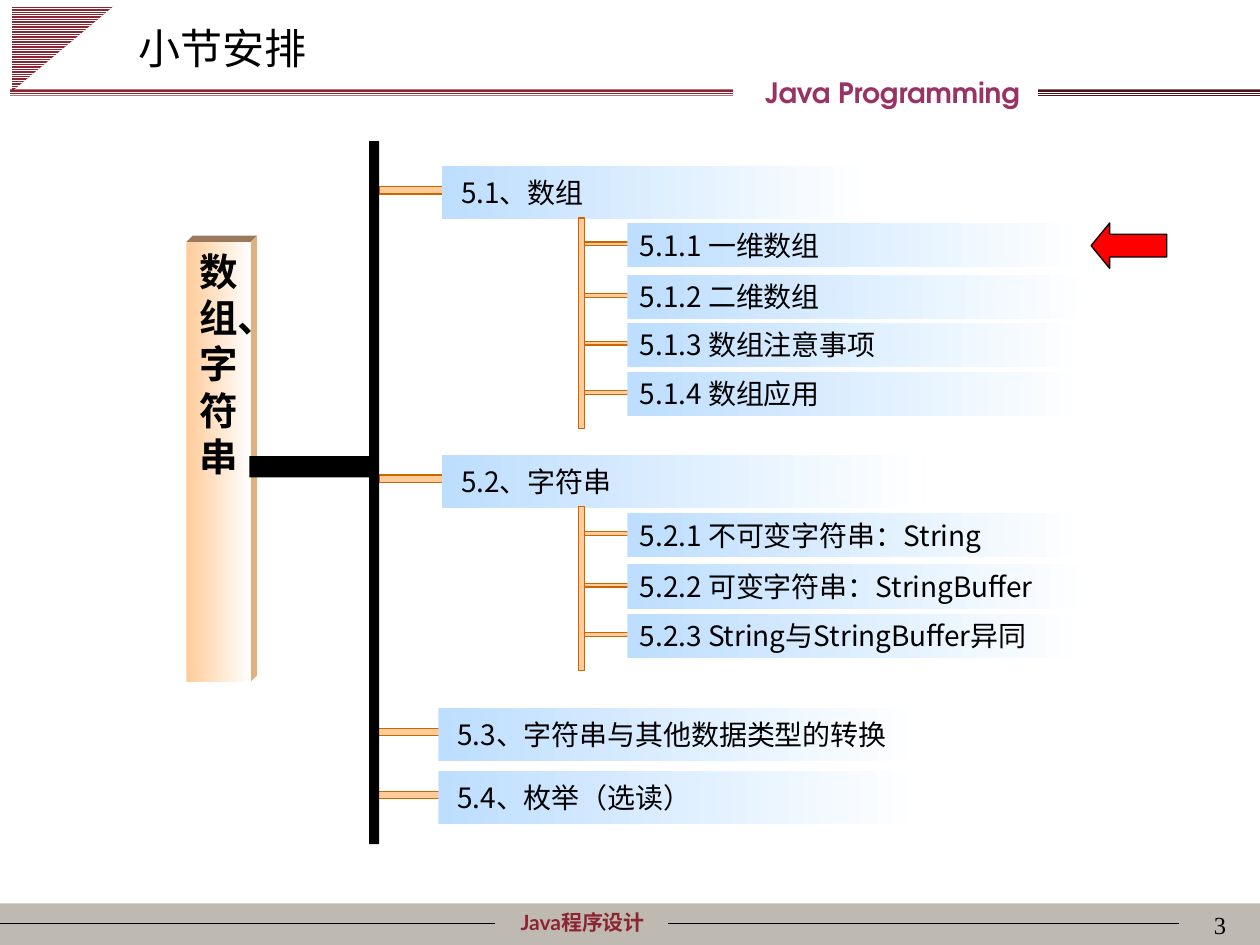
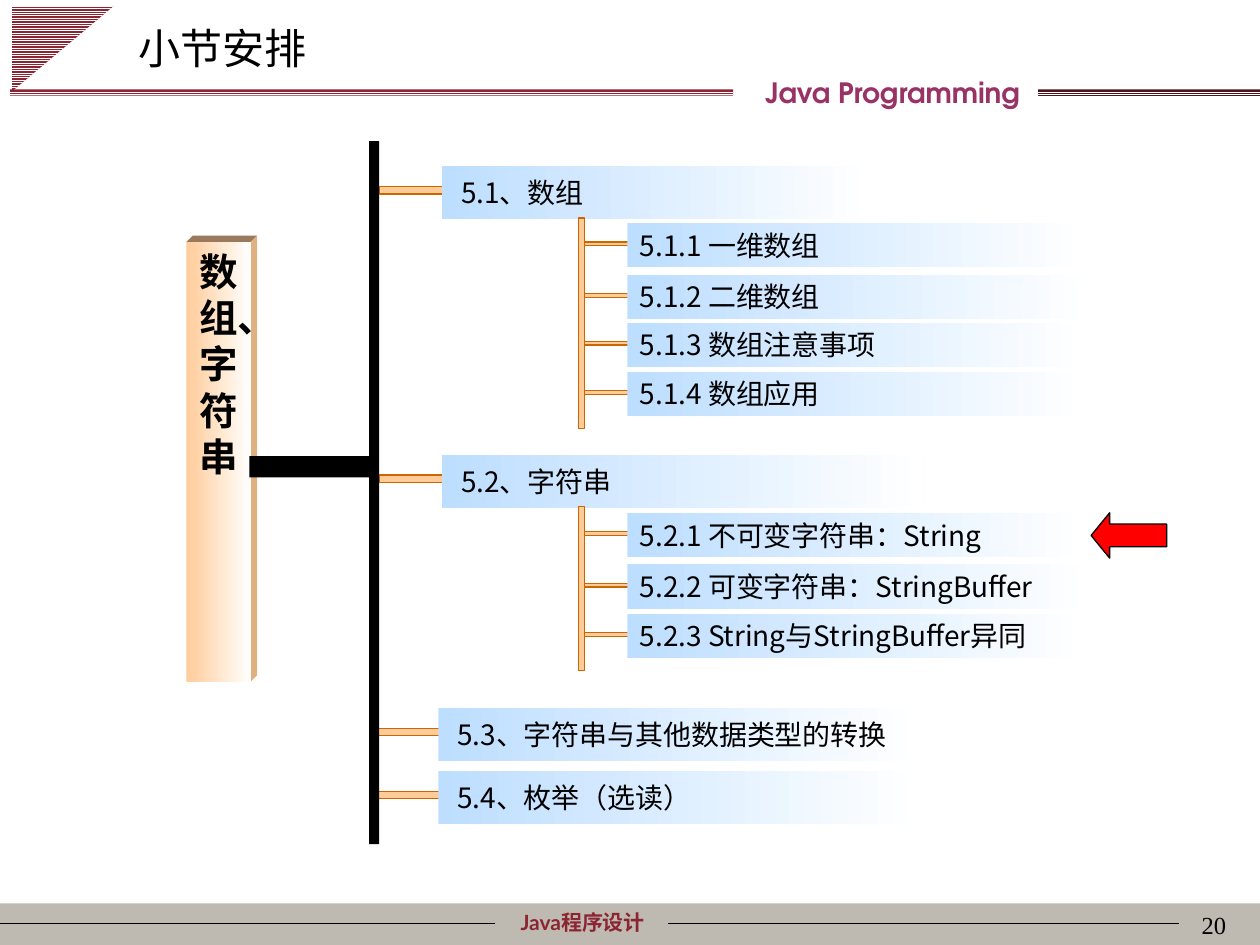
from dataclasses import dataclass
from typing import Optional

from lxml import etree
from pptx import Presentation, util as u
from pptx.dml.color import RGBColor
from pptx.enum import dml, shapes, text
from pptx.oxml.ns import qn

COLUMNS, ROWS = 100, 75
WIDTH, HEIGHT = u.Inches(10), u.Inches(7.5)

BLACK, WHITE, RED = "000000", "FFFFFF", "FF0000"
WINE, DARK_WINE, PLUM = "8C2532", "4C141B", "993366"
STONE, SKY = "BFBAB1", "BDDEFF"
PEACH, RUST, BROWN, TAN = "FFCC99", "CC6600", "997A5C", "E0B080"
CJK = "Noto Sans CJK SC"
RECTANGLE = shapes.MSO_SHAPE.RECTANGLE
LEFT, CENTER, RIGHT = text.PP_ALIGN.LEFT, text.PP_ALIGN.CENTER, text.PP_ALIGN.RIGHT
TOP, MIDDLE = text.MSO_ANCHOR.TOP, text.MSO_ANCHOR.MIDDLE


@dataclass(frozen=True)
class Box:
    left: float
    top: float
    width: float
    height: float

    def emu(self) -> tuple[int, int, int, int]:
        return (across(self.left), down(self.top), across(self.width), down(self.height))


@dataclass(frozen=True)
class Style:
    size: float
    color: str = BLACK
    font: str = CJK
    bold: bool = False
    align: text.PP_ALIGN = LEFT
    anchor: text.MSO_ANCHOR = MIDDLE
    indent: float = 1


@dataclass(frozen=True)
class Paint:
    color: str
    fade_to: Optional[str] = None
    stripe: Optional[str] = None
    outline: Optional[str] = None


@dataclass(frozen=True)
class Topic:
    label: str
    top: float
    width: float = 36.5


@dataclass(frozen=True)
class Section:
    label: str
    left: float
    top: float
    width: float
    topics: tuple[Topic, ...] = ()


TITLE = Style(24)
BRANDING = Style(16, PLUM, "TeX Gyre Adventor", True, CENTER)
FOOTER = Style(12, WINE, "Lato", True, CENTER)
PAGE_NUMBER = Style(14, font="Times New Roman", align=RIGHT, anchor=TOP)
CHAPTER = Style(22, bold=True, align=CENTER, anchor=TOP)
SECTION = Style(16, indent=1.5)
TOPIC = Style(16)

BAR = Paint(SKY, fade_to=WHITE)
TWIG = Paint(PEACH, outline=RUST)
TRUNK = Paint(BLACK)

SECTIONS = (
    Section("5.1、数组", 35.1, 13.2, 34.1, (
        Topic("5.1.1 一维数组", 17.7),
        Topic("5.1.2 二维数组", 21.8, 36.9),
        Topic("5.1.3 数组注意事项", 25.6),
        Topic("5.1.4 数组应用", 29.5),
    )),
    Section("5.2、字符串", 35.1, 36.1, 38.3, (
        Topic("5.2.1 不可变字符串：String", 40.7),
        Topic("5.2.2 可变字符串：StringBuffer", 44.8, 36.9),
        Topic("5.2.3 String与StringBuffer异同", 48.7),
    )),
    Section("5.3、字符串与其他数据类型的转换", 34.8, 56.2, 38.3),
    Section("5.4、枚举（选读）", 34.8, 61.2, 38.3),
)


def across(columns: float) -> int:
    return round(WIDTH * columns / COLUMNS)


def down(rows: float) -> int:
    return round(HEIGHT * rows / ROWS)


def rgb(color: str) -> RGBColor:
    return RGBColor.from_string(color)


def assign(target, values: dict) -> None:
    for name, value in values.items():
        setattr(target, name, value)


def write(shape, label: str, style: Style) -> None:
    frame = shape.text_frame
    assign(frame, {
        "word_wrap": True, "vertical_anchor": style.anchor,
        "margin_left": across(style.indent), "margin_right": across(1),
        "margin_top": down(0.5), "margin_bottom": down(0.5),
    })
    paragraph = frame.paragraphs[0]
    paragraph.alignment = style.align
    run = paragraph.add_run()
    run.text = label
    run.font.color.rgb = rgb(style.color)
    assign(run.font, {"name": style.font, "size": u.Pt(style.size), "bold": style.bold})
    etree.SubElement(run.font._element, qn("a:ea"), typeface=CJK)


def coat(shape, paint: Paint) -> None:
    shape.shadow.inherit = False
    fill = shape.fill
    if paint.fade_to:
        fill.gradient()
        fill.gradient_angle = 0
        for stop, color in zip(fill.gradient_stops, (paint.color, paint.fade_to)):
            stop.color.rgb = rgb(color)
    elif paint.stripe:
        fill.patterned()
        fill.pattern = dml.MSO_PATTERN.LIGHT_HORIZONTAL
        fill.fore_color.rgb = rgb(paint.stripe)
        fill.back_color.rgb = rgb(paint.color)
    else:
        fill.solid()
        fill.fore_color.rgb = rgb(paint.color)
    if paint.outline:
        shape.line.color.rgb = rgb(paint.outline)
        shape.line.width = u.Pt(0.75)
    else:
        shape.line.fill.background()


def draw(slide, box: Box, paint: Paint, kind=RECTANGLE):
    shape = slide.shapes.add_shape(kind, *box.emu())
    coat(shape, paint)
    return shape


def caption(slide, box: Box, label: str, style: Style) -> None:
    write(slide.shapes.add_textbox(*box.emu()), label, style)


def facet(slide, points: list[tuple[float, float]], color: str) -> None:
    corners = [(across(x), down(y)) for x, y in points]
    builder = slide.shapes.build_freeform(*corners[0])
    builder.add_line_segments(corners[1:], close=True)
    coat(builder.convert_to_shape(), Paint(color))


def rule(slide, start: float, end: float, row: float) -> None:
    line = slide.shapes.add_connector(
        shapes.MSO_CONNECTOR.STRAIGHT, across(start), down(row), across(end), down(row))
    line.line.color.rgb = rgb(BLACK)
    line.line.width = u.Pt(0.75)
    etree.SubElement(line._element.spPr, qn("a:effectLst"))


def draw_frame(slide, title: str, number: int) -> None:
    draw(slide, Box(0, 71.7, 100, 3.3), Paint(STONE))
    caption(slide, Box(36.2, 71.7, 20.1, 3), "Java程序设计", FOOTER)
    rule(slide, 0, 39.3, 73.3)
    rule(slide, 53, 93.6, 73.3)
    corner = draw(slide, Box(1.6, -0.2, 6.8, 8.1), Paint(WINE, stripe=WHITE),
                  shapes.MSO_SHAPE.RIGHT_TRIANGLE)
    corner.rotation = 90
    draw(slide, Box(82.4, 7.1, 17.6, 0.6), Paint(DARK_WINE, stripe=WHITE))
    draw(slide, Box(0.8, 7.1, 57.4, 0.5), Paint(WINE, stripe=WHITE))
    caption(slide, Box(50.8, 5.5, 40.1, 3.7), "Java Programming", BRANDING)
    caption(slide, Box(77.5, 71.7, 20.8, 3.3), str(number), PAGE_NUMBER)
    caption(slide, Box(10, 1.3, 28.5, 5), title, TITLE)


def draw_chapter(slide, label: str) -> None:
    box, depth = Box(14.8, 19.2, 5.1, 34.9), 0.5
    right, bottom = box.left + box.width, box.top + box.height
    lifted = box.top - depth
    facet(slide, [(box.left, box.top), (box.left + depth, lifted),
                  (right + depth, lifted), (right, box.top)], BROWN)
    facet(slide, [(right, box.top), (right + depth, lifted),
                  (right + depth, bottom - depth), (right, bottom)], TAN)
    write(draw(slide, box, Paint(PEACH, fade_to=WHITE)), label, CHAPTER)


def draw_section(slide, section: Section) -> None:
    draw(slide, Box(section.left - 5, section.top + 1.6, 5.1, 0.6), TWIG)
    bar = draw(slide, Box(section.left, section.top, section.width, 4.2), BAR)
    write(bar, section.label, SECTION)
    for topic in section.topics:
        draw(slide, Box(46.1, topic.top + 1.5, 5.1, 0.3), TWIG)
        bar = draw(slide, Box(49.8, topic.top, topic.width, 3.5), BAR)
        write(bar, topic.label, TOPIC)
    if section.topics:
        start, end = section.top + 4.1, section.topics[-1].top + 4.5
        draw(slide, Box(45.9, start, 0.5, end - start), TWIG)


def draw_pointer(slide, topic: Topic) -> None:
    arrow = draw(slide, Box(86.6, topic.top, 6, 3.6), Paint(RED, outline=BLACK),
                 shapes.MSO_SHAPE.LEFT_ARROW)
    arrow.adjustments[0] = 0.5
    arrow.adjustments[1] = 0.41


def build_outline(presentation, number: int, current: Topic) -> None:
    slide = presentation.slides.add_slide(presentation.slide_layouts[6])
    draw_frame(slide, "小节安排", number)
    draw_chapter(slide, "数组、字符串")
    draw(slide, Box(19.8, 36.2, 10, 1.7), TRUNK)
    for section in SECTIONS:
        draw_section(slide, section)
    draw(slide, Box(29.3, 11.2, 0.8, 55.8), TRUNK)
    draw_pointer(slide, current)


def main() -> None:
    presentation = Presentation()
    assign(presentation, {"slide_width": WIDTH, "slide_height": HEIGHT})
    arrays, strings = SECTIONS[:2]
    build_outline(presentation, 3, arrays.topics[0])
    build_outline(presentation, 20, strings.topics[0])
    presentation.save("out.pptx")


if __name__ == "__main__":
    main()
